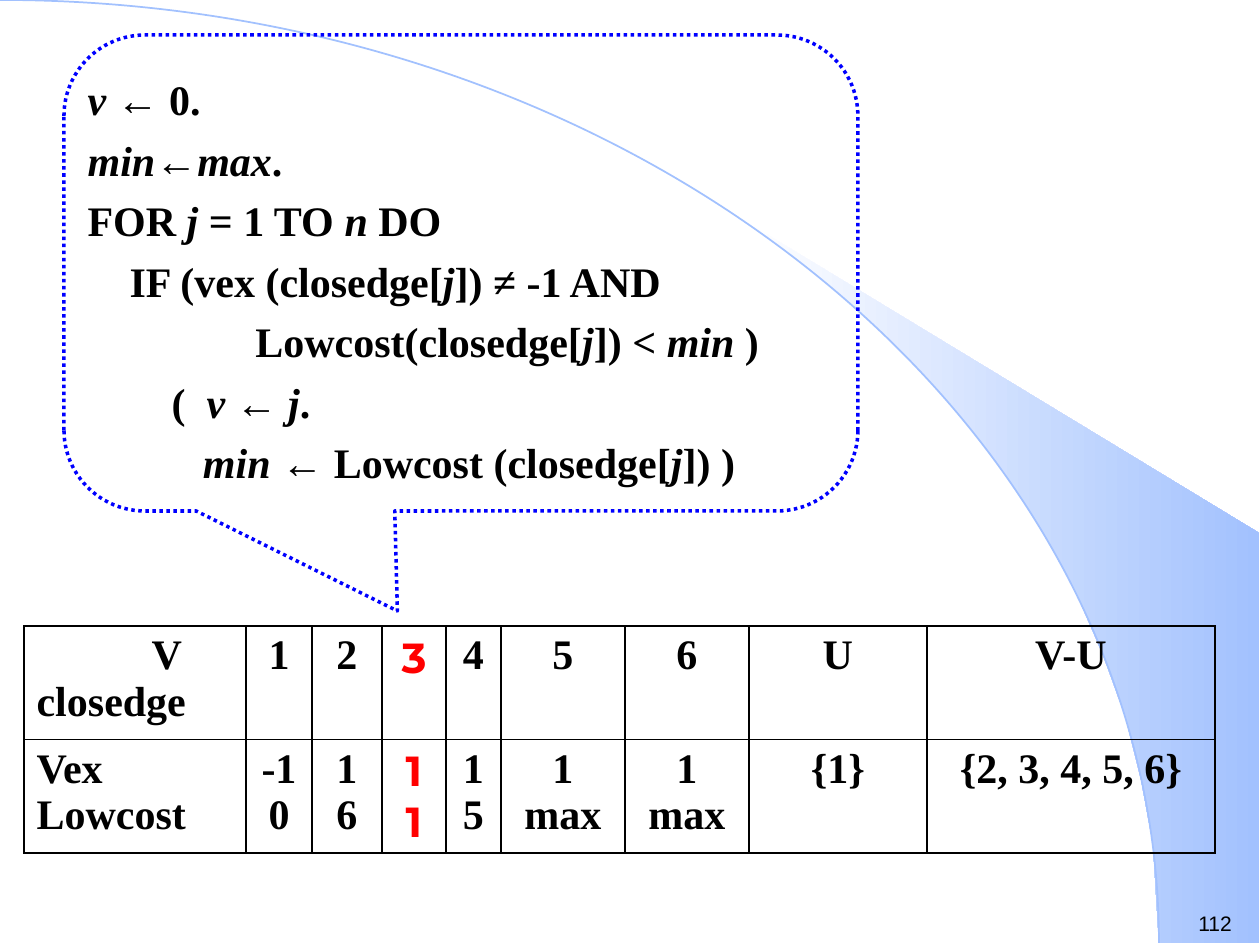
import math
from dataclasses import dataclass

import lxml.etree
import pptx
import pptx.dml.color
import pptx.enum.dml
import pptx.enum.shapes
import pptx.enum.text
import pptx.oxml
import pptx.oxml.ns
import pptx.util


@dataclass(frozen=True)
class Theme:
    ink: str = "000000"
    accent: str = "FF0000"
    outline: str = "0000FF"
    sky: str = "A2C1FE"
    white: str = "FFFFFF"
    serif: str = "Times New Roman"
    display: str = "Montserrat"
    sans: str = "Arial"
    body: int = 24
    small: int = 12


THEME = Theme()
EMU_PER_PX = 914400 / 126
COLOR = pptx.dml.color.RGBColor.from_string
ALIGN = pptx.enum.text.PP_ALIGN


def px(length):
    return pptx.util.Emu(round(length * EMU_PER_PX))


def write_text(frame, text, size=THEME.body, font=THEME.serif, color=THEME.ink,
               bold=True, align=ALIGN.LEFT, line_spacing=None, first_indent=0):
    """Write one paragraph per line; text between asterisks is italic."""
    for number, line in enumerate(text.split("\n")):
        paragraph = frame.add_paragraph() if number else frame.paragraphs[0]
        paragraph.alignment = align
        paragraph.line_spacing = line_spacing
        if first_indent and number == 0:
            properties = paragraph._p.get_or_add_pPr()
            properties.set("marL", str(px(first_indent)))
            properties.set("indent", "0")
        for part_number, part in enumerate(line.split("*")):
            if not part:
                continue
            run = paragraph.add_run()
            run.text = part
            run.font.size = pptx.util.Pt(size)
            run.font.name = font
            run.font.bold = bold
            run.font.italic = part_number % 2 == 1
            run.font.color.rgb = COLOR(color)


presentation = pptx.Presentation()
presentation.slide_width = px(1260)
presentation.slide_height = px(945)
slide = presentation.slides.add_slide(presentation.slide_layouts[6])
shapes = slide.shapes

# Background: a wedge of light that follows a quarter ellipse
ARC_WIDTH, ARC_HEIGHT = 1159, 943
wedge_angles = [math.radians(degree) for degree in (*range(40, 88, 4), 90)]
wedge_points = [(ARC_WIDTH * math.sin(angle), ARC_HEIGHT * (1 - math.cos(angle)))
                for angle in wedge_angles]
wedge_points += [(1259, ARC_HEIGHT), (1259, 533)]
builder = shapes.build_freeform(*wedge_points[0], scale=EMU_PER_PX)
builder.add_line_segments(wedge_points[1:], close=True)
wedge = builder.convert_to_shape()
wedge.shadow.inherit = False
wedge.line.fill.background()
wedge.fill.gradient()
wedge.fill.gradient_angle = 0
for stop, color, position in zip(wedge.fill.gradient_stops, (THEME.white, THEME.sky), (0, 1)):
    stop.color.rgb = COLOR(color)
    stop.position = position

builder = shapes.build_freeform(0, 0, scale=EMU_PER_PX)
builder.add_line_segments([(ARC_WIDTH, ARC_HEIGHT)], close=False)
curve = builder.convert_to_shape()
curve.shadow.inherit = False
curve.fill.background()
curve.line.color.rgb = COLOR(THEME.sky)
curve.line.width = pptx.util.Pt(1)
# The straight segment becomes one Bézier segment
segment = next(curve._element.iter(pptx.oxml.ns.qn("a:lnTo")))
segment.tag = pptx.oxml.ns.qn("a:cubicBezTo")
for index, (x, y) in enumerate([(0.55 * ARC_WIDTH, 0), (ARC_WIDTH, 0.45 * ARC_HEIGHT)]):
    control = lxml.etree.Element(pptx.oxml.ns.qn("a:pt"), x=str(round(x)), y=str(round(y)))
    segment.insert(index, control)

page_number = shapes.add_textbox(px(1186), px(904), px(74), px(38))
page_number.text_frame.word_wrap = True
write_text(page_number.text_frame, "112", size=THEME.small, font=THEME.sans, bold=False)

# Table of closest edges
COLUMN_WIDTHS = [222, 66, 70, 64, 55, 124, 124, 178, 288]
ROW_HEIGHT = 113
HIGHLIGHT_COLUMN = 3
ROWS = [
    ["V\nclosedge", "1", "2", "3", "4", "5", "6", "U", "V-U"],
    ["Vex\nLowcost", "-1\n0", "1\n6", "1\n1", "1\n5", "1\nmax", "1\nmax",
     "{1}", "{2, 3, 4, 5, 6}"],
]
table = shapes.add_table(len(ROWS), len(COLUMN_WIDTHS), px(24), px(626),
                         px(sum(COLUMN_WIDTHS)), px(ROW_HEIGHT * len(ROWS))).table
table.first_row = table.horz_banding = False
for column, width in zip(table.columns, COLUMN_WIDTHS):
    column.width = px(width)
for row_number, texts in enumerate(ROWS):
    table.rows[row_number].height = px(ROW_HEIGHT)
    for column_number, text in enumerate(texts):
        cell = table.cell(row_number, column_number)
        highlighted = column_number == HIGHLIGHT_COLUMN
        write_text(cell.text_frame, text,
                   font=THEME.display if highlighted else THEME.serif,
                   color=THEME.accent if highlighted else THEME.ink,
                   align=ALIGN.CENTER if column_number else ALIGN.LEFT,
                   first_indent=115 if row_number == column_number == 0 else 0)
        cell_properties = cell._tc.get_or_add_tcPr()
        for side in ("lnL", "lnR", "lnT", "lnB"):
            cell_properties.append(pptx.oxml.parse_xml(
                f'<a:{side} {pptx.oxml.ns.nsdecls("a")} w="{pptx.util.Pt(1)}">'
                f'<a:solidFill><a:srgbClr val="{THEME.ink}"/></a:solidFill></a:{side}>'))
        cell.fill.background()

# Callout with the algorithm
ALGORITHM = """*v *← 0.
*min*←*max*.
FOR* j* = 1 TO *n *DO
    IF (vex (closedge[*j*]) ≠ -1 AND
                Lowcost(closedge[*j*]) < *min* )
        (  *v *←* j*.
*           min *← Lowcost (closedge[*j*]) )"""
callout = shapes.add_shape(pptx.enum.shapes.MSO_SHAPE.ROUNDED_RECTANGULAR_CALLOUT,
                           px(64), px(35), px(794), px(476))
for number, value in enumerate((-0.08, 0.71, 0.17)):
    callout.adjustments[number] = value
callout.shadow.inherit = False
callout.fill.background()
callout.line.color.rgb = COLOR(THEME.outline)
callout.line.width = pptx.util.Pt(2)
callout.line.dash_style = pptx.enum.dml.MSO_LINE.ROUND_DOT
frame = callout.text_frame
frame.word_wrap = True
frame.vertical_anchor = pptx.enum.text.MSO_ANCHOR.TOP
frame.margin_left = frame.margin_right = 0
frame.margin_top = frame.margin_bottom = px(5)
write_text(frame, ALGORITHM, align=ALIGN.JUSTIFY, line_spacing=1.2)

presentation.save("out.pptx")
